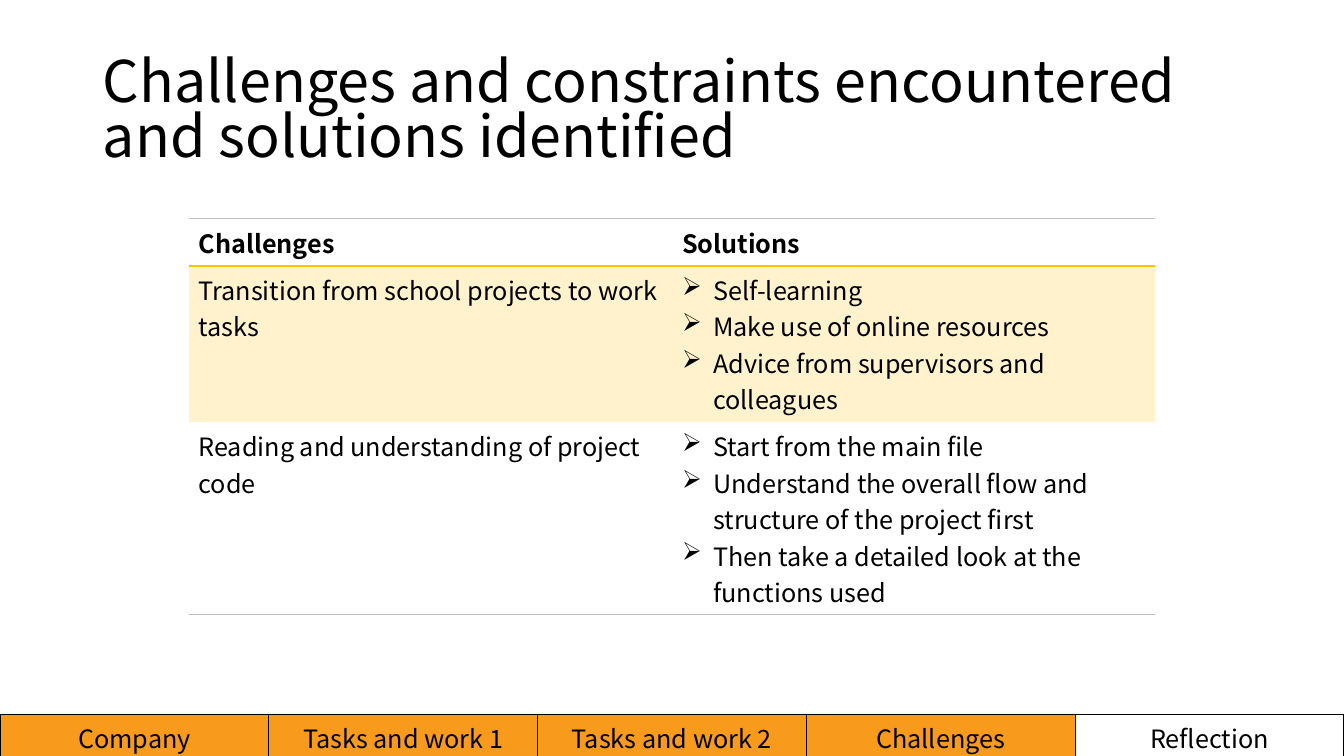
from lxml import etree
from pptx import Presentation
from pptx.dml.color import RGBColor
from pptx.enum.text import MSO_ANCHOR, MSO_AUTO_SIZE, PP_ALIGN
from pptx.oxml import parse_xml
from pptx.oxml.ns import nsdecls, qn
from pptx.util import Inches, Pt

FONT = "Noto Sans CJK SC"
COLORS = {"text": "000000", "rule": "BFBFBF", "accent": "FFC000",
          "band": "FFF2CC", "tab": "F89B1C"}


def write(frame, text, size=18, bold=False, align=PP_ALIGN.LEFT, spacing=None, bullet=None):
    """Fill a text frame with one paragraph per line of text."""
    for index, line in enumerate(text.split("\n")):
        para = frame.add_paragraph() if index else frame.paragraphs[0]
        para.alignment = align
        para.line_spacing = spacing
        if bullet:
            properties = para._p.get_or_add_pPr()
            properties.set("marL", str(Inches(0.31)))
            properties.set("indent", str(-Inches(0.31)))
            etree.SubElement(properties, qn("a:buChar"), char=bullet)
        span = para.add_run()
        span.text = line
        span.font.name, span.font.size, span.font.bold = FONT, Pt(size), bold
        span.font.color.rgb = RGBColor.from_string(COLORS["text"])


def style_cell(cell, fill=None, **edges):
    """Set the fill and the L, R, T and B edges; an edge not named has no line."""
    for side in "LRTB":
        color = edges.get(side)
        paint = (f'<a:solidFill><a:srgbClr val="{COLORS[color]}"/></a:solidFill>'
                 if color else "<a:noFill/>")
        cell._tc.get_or_add_tcPr().append(
            parse_xml(f'<a:ln{side} {nsdecls("a")} w="{Pt(1)}">{paint}</a:ln{side}>'))
    if fill:
        cell.fill.solid()
        cell.fill.fore_color.rgb = RGBColor.from_string(COLORS[fill])
    else:
        cell.fill.background()


deck = Presentation()
deck.slide_width, deck.slide_height = Inches(13.33), Inches(7.5)
page = deck.slides.add_slide(deck.slide_layouts[5])

title = page.shapes.title
title.left, title.top = Inches(0.92), Inches(0.4)
title.width, title.height = Inches(11.5), Inches(1.45)
title.text_frame.vertical_anchor = MSO_ANCHOR.MIDDLE
title.text_frame.auto_size = MSO_AUTO_SIZE.TEXT_TO_FIT_SHAPE
write(title.text_frame, "Challenges and constraints encountered and solutions identified",
      size=44, spacing=0.9)

# Challenges and their solutions
ROWS = [
    (0.47, "Challenges", "Solutions", None, {"T": "rule", "B": "accent"}),
    (1.55, "Transition from school projects to work tasks",
     "Self-learning\nMake use of online resources\nAdvice from supervisors and colleagues",
     "band", {"T": "accent"}),
    (1.91, "Reading and understanding of project code",
     "Start from the main file\n"
     "Understand the overall flow and structure of the project first\n"
     "Then take a detailed look at the functions used",
     None, {"B": "rule"}),
]
table = page.shapes.add_table(len(ROWS), 2, Inches(1.87), Inches(2.17),
                              Inches(9.59), Inches(3.93)).table
table.horz_banding = False
for row, (height, challenge, solutions, fill, edges) in enumerate(ROWS):
    table.rows[row].height = Inches(height)
    for column, text in enumerate((challenge, solutions)):
        cell = table.cell(row, column)
        style_cell(cell, fill, **edges)
        write(cell.text_frame, text, bold=row == 0, bullet="➢" if row and column else None)

# Progress bar along the bottom edge
SECTIONS = ["Company", "Tasks and work 1", "Tasks and work 2", "Challenges", "Reflection"]
CURRENT = SECTIONS.index("Challenges")
progress = page.shapes.add_table(1, len(SECTIONS), 0, Inches(7.09),
                                 deck.slide_width, Inches(0.41)).table
progress.first_row = progress.horz_banding = False
for column, section in enumerate(SECTIONS):
    cell = progress.cell(0, column)
    style_cell(cell, "tab" if column <= CURRENT else None, **dict.fromkeys("LRTB", "text"))
    write(cell.text_frame, section, align=PP_ALIGN.CENTER)

deck.save("out.pptx")
